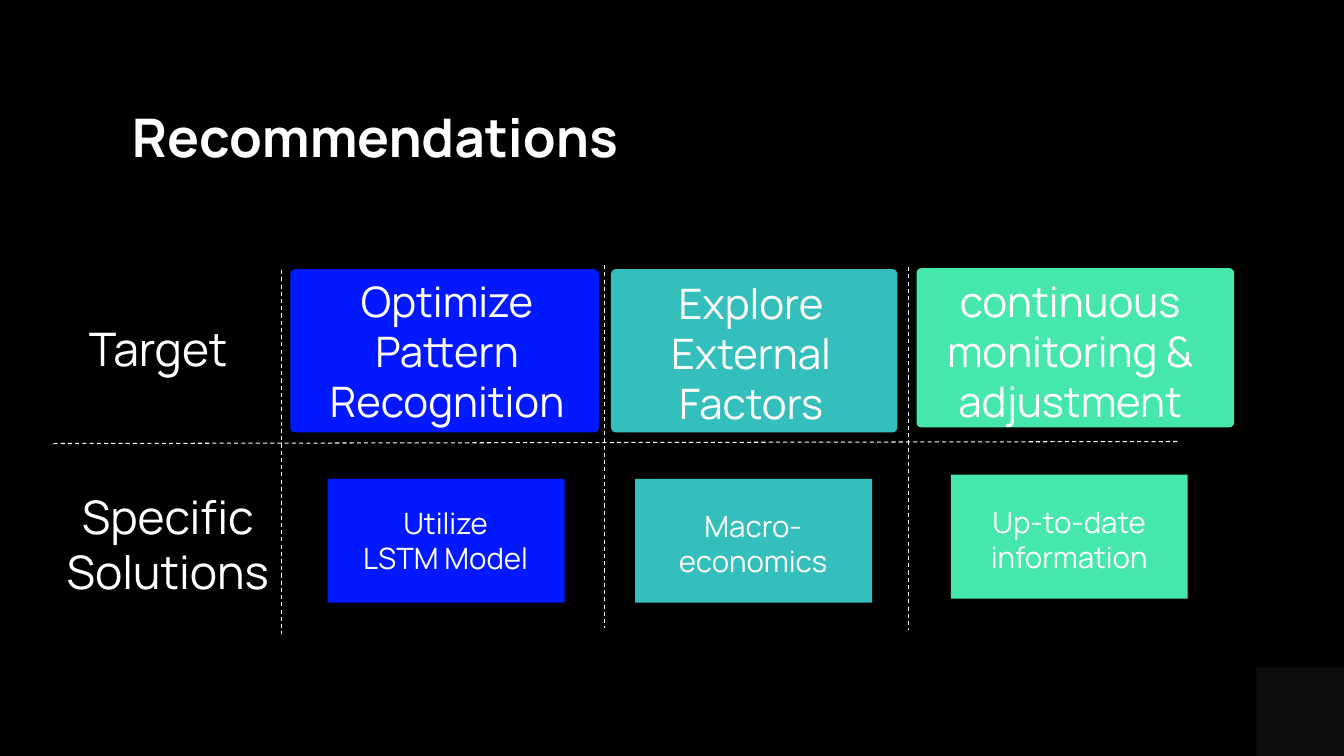
from lxml.etree import SubElement
from pptx import Presentation
from pptx.dml.color import RGBColor
from pptx.enum.dml import MSO_LINE
from pptx.enum.shapes import MSO_CONNECTOR, MSO_SHAPE
from pptx.enum.text import PP_ALIGN
from pptx.oxml.ns import qn
from pptx.util import Inches, Pt

FONT = "Manrope"
WHITE = "FFFFFF"

RECOMMENDATIONS = [
    ("0218FF",
     (2.88, 2.67, 3.06, 1.62), "Optimize Pattern Recognition", (3.03, 2.68, 2.81, 1.62),
     (3.25, 4.75), "Utilize\nLSTM Model", (3.41, 4.96, 2.02, 0.81)),
    ("34BEBC",
     (6.06, 2.67, 2.84, 1.62), "Explore External Factors", (5.94, 2.7, 3.02, 1.62),
     (6.3, 4.75), "Macro-\neconomics", (6.5, 4.99, 1.94, 0.81)),
    ("45E7AB",
     (9.09, 2.66, 3.15, 1.58), "continuous monitoring & adjustment", (8.9, 2.68, 3.43, 1.62),
     (9.43, 4.71), "Up-to-date\ninformation", (9.57, 4.95, 2.07, 0.81)),
]
SOLUTION_SIZE = (2.35, 1.23)
DIVIDERS = [
    (0.53, 4.4, 11.69, 4.38),
    (2.79, 2.68, 2.79, 6.29),
    (6, 2.63, 6, 6.23),
    (9.01, 2.65, 9.01, 6.25),
]


def rgb(value):
    """Turn a hex string into a colour."""
    return RGBColor.from_string(value)


def add_block(slide, box, color, kind=MSO_SHAPE.RECTANGLE):
    """Add a filled shape without outline or shadow."""
    block = slide.shapes.add_shape(kind, *map(Inches, box))
    block.shadow.inherit = False
    block.fill.solid()
    block.fill.fore_color.rgb = rgb(color)
    block.line.fill.background()
    return block


def add_label(slide, box, wording, size, bold=False, wrap=True):
    """Add centred white text, one paragraph per line of wording."""
    frame = slide.shapes.add_textbox(*map(Inches, box)).text_frame
    frame.word_wrap = wrap
    frame.text = wording
    for paragraph in frame.paragraphs:
        paragraph.alignment = PP_ALIGN.CENTER
        for run in paragraph.runs:
            run.font.name = FONT
            run.font.size = Pt(size)
            run.font.bold = bold
            run.font.color.rgb = rgb(WHITE)


def add_divider(slide, ends):
    """Add a thin dashed white line."""
    divider = slide.shapes.add_connector(MSO_CONNECTOR.STRAIGHT, *map(Inches, ends))
    divider.line.color.rgb = rgb(WHITE)
    divider.line.width = Pt(0.75)
    divider.line.dash_style = MSO_LINE.DASH
    SubElement(divider._element.spPr, qn("a:effectLst"))


def add_recommendation(slide, color, target_box, target, target_text_box,
                       solution_corner, solution, solution_text_box):
    """Add one column: a rounded target above its solution."""
    target_block = add_block(slide, target_box, color, MSO_SHAPE.ROUNDED_RECTANGLE)
    target_block.adjustments[0] = 0.03
    add_label(slide, target_text_box, target, 30)
    add_block(slide, solution_corner + SOLUTION_SIZE, color)
    add_label(slide, solution_text_box, solution, 21, wrap=False)


def add_corner(slide):
    """Add the faint square in the bottom right corner."""
    corner = add_block(slide, (12.46, 6.62, 0.88, 0.88), "808080")
    tint = corner._element.spPr.find(qn("a:solidFill"))[0]
    SubElement(tint, qn("a:alpha"), val="10000")


def main():
    """Build the recommendations slide."""
    deck = Presentation()
    deck.slide_width, deck.slide_height = Inches(13.33), Inches(7.5)
    slide = deck.slides.add_slide(deck.slide_layouts[6])
    slide.background.fill.solid()
    slide.background.fill.fore_color.rgb = rgb("000000")

    add_corner(slide)
    add_label(slide, (0.94, 0.99, 5.56, 0.74), "Recommendations", 38, bold=True, wrap=False)
    add_label(slide, (0.59, 3.13, 1.96, 0.66), "Target", 33)
    add_label(slide, (0.33, 4.79, 2.67, 1.21), "Specific Solutions", 33)
    for recommendation in RECOMMENDATIONS:
        add_recommendation(slide, *recommendation)
    for ends in DIVIDERS:
        add_divider(slide, ends)

    deck.save("out.pptx")


if __name__ == "__main__":
    main()
